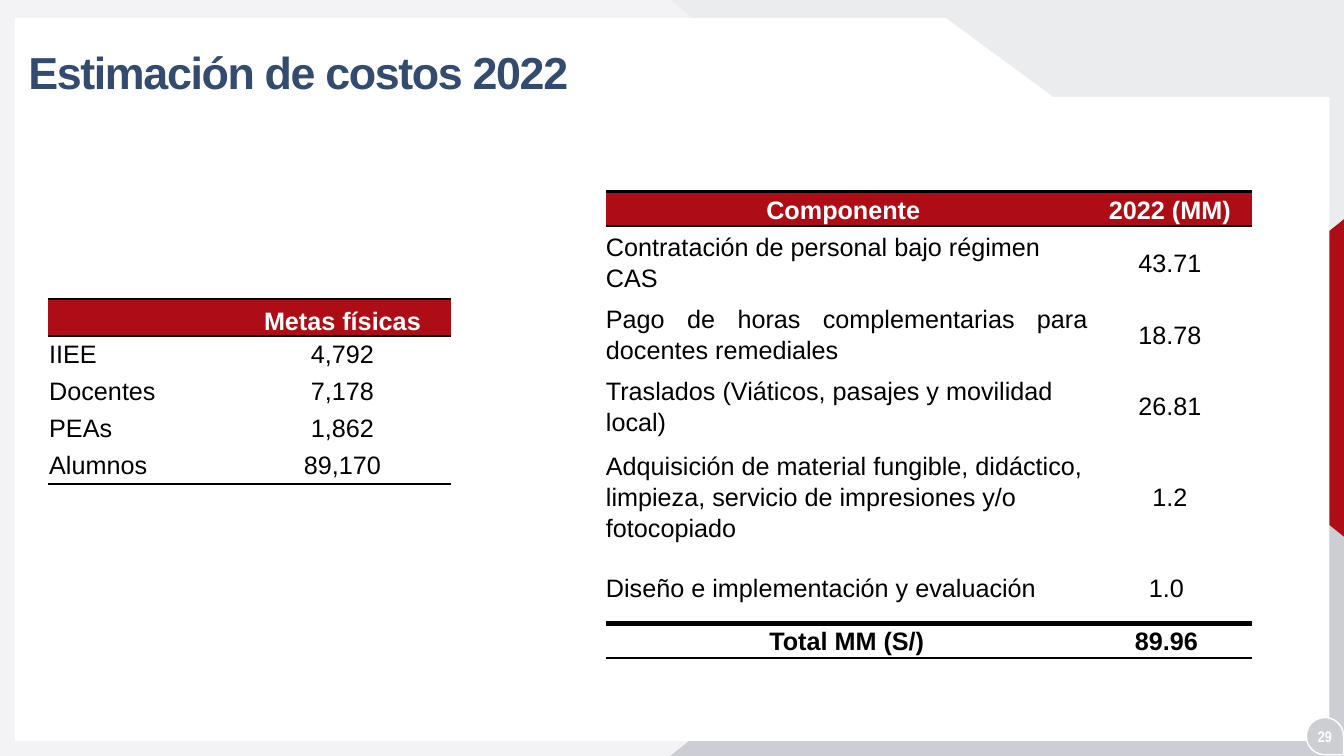
import pptx
import pptx.util
import pptx.dml.color
import pptx.enum.shapes
import pptx.enum.text
import pptx.oxml.ns
from lxml import etree

Cm, Pt = pptx.util.Cm, pptx.util.Pt
ALIGN = pptx.enum.text.PP_ALIGN
MIDDLE = pptx.enum.text.MSO_ANCHOR.MIDDLE
BOTTOM = pptx.enum.text.MSO_ANCHOR.BOTTOM
COLORS = {"page": "F3F3F5", "light": "EBECEE", "grey": "CDCED3", "red": "AF0D15",
          "navy": "324B6E", "white": "FFFFFF", "black": "000000"}
WIDTH, HEIGHT = 33.87, 19.05
NO_STYLE = "{2D5ABB26-0587-4C30-8999-92F81FD0307C}"

GOALS = [("", "Metas físicas"), ("IIEE", "4,792"), ("Docentes", "7,178"),
         ("PEAs", "1,862"), ("Alumnos", "89,170")]
COSTS = [("Componente ", "2022 (MM)"),
         ("Contratación de personal bajo régimen CAS", "43.71"),
         ("Pago de horas complementarias para docentes remediales", "18.78"),
         ("Traslados (Viáticos, pasajes y movilidad local)", "26.81"),
         ("Adquisición de material fungible, didáctico, limpieza, servicio de "
          "impresiones y/o fotocopiado", "1.2"),
         ("Diseño e implementación y evaluación", "1.0 "),
         ("Total MM (S/)", "89.96 ")]


def rgb(name):
    return pptx.dml.color.RGBColor.from_string(COLORS[name])


def write(tf, text, size=18, font="Arial", color="black", bold=False,
          align=ALIGN.LEFT, spacing=None, tracking=None):
    p = tf.paragraphs[0]
    p.alignment = align
    p.line_spacing = spacing
    if not text:
        return
    r = p.add_run()
    r.text = text
    r.font.size, r.font.name, r.font.bold = Pt(size), font, bold
    r.font.color.rgb = rgb(color)
    if tracking:
        r.font._element.set("spc", str(tracking))


def paint(sp, color, line=None):
    sp.shadow.inherit = False
    sp.fill.solid()
    sp.fill.fore_color.rgb = rgb(color)
    if line:
        sp.line.color.rgb = rgb(line)
        sp.line.width = Pt(1)
    else:
        sp.line.fill.background()


def add_polygon(s, points, color):
    points = [(Cm(x), Cm(y)) for x, y in points]
    builder = s.shapes.build_freeform(*points[0])
    builder.add_line_segments(points[1:], close=True)
    paint(builder.convert_to_shape(), color)


def add_backdrop(s, width, height):
    page = s.shapes.add_shape(pptx.enum.shapes.MSO_SHAPE.RECTANGLE, 0, 0, Cm(width), Cm(height))
    paint(page, "page")
    left, drop, middle = width - 16.98, 13.49, height / 2
    add_polygon(s, [(left, 0), (width, 0), (width, drop)], "light")
    add_polygon(s, [(left, height), (width, height), (width, height - drop)], "grey")
    add_polygon(s, [(width - 4.97, middle), (width, middle - 4), (width, middle + 4)], "red")
    right, bottom = width - 0.37, height - 0.38
    add_polygon(s, [(0.38, 0.45), (23.83, 0.45), (26.55, 2.45), (right, 2.45),
                    (right, bottom), (0.38, bottom)], "white")


def add_title(s, x, y, w, h, text):
    title = s.shapes.title
    s.shapes._spTree.append(title._element)  # in front of the backdrop
    title.left, title.top, title.width, title.height = Cm(x), Cm(y), Cm(w), Cm(h)
    tf = title.text_frame
    tf.word_wrap = True
    tf.auto_size = pptx.enum.text.MSO_AUTO_SIZE.NONE
    tf.vertical_anchor = MIDDLE
    write(tf, text, size=32, color="navy", bold=True, spacing=0.9, tracking=-100)


def add_page_number(s, x, y, size, number):
    drop = s.shapes.add_shape(pptx.enum.shapes.MSO_SHAPE.TEAR, Cm(x), Cm(y), Cm(size), Cm(size))
    drop.rotation = 90
    paint(drop, "grey", line="white")
    box = s.shapes.add_textbox(Cm(x - 0.13), Cm(y + 0.24), Cm(size + 0.26), Cm(0.46))
    tf = box.text_frame
    tf.margin_left = tf.margin_right = tf.margin_top = tf.margin_bottom = 0
    tf.vertical_anchor = MIDDLE
    write(tf, number, size=11, font="Arial Narrow", color="white", bold=True, align=ALIGN.CENTER)


def set_borders(cell, top=0, bottom=0):
    """Draw black rules of the given point widths; leave the other sides bare."""
    tc_pr = cell._tc.get_or_add_tcPr()
    qn = pptx.oxml.ns.qn
    for i, (side, width) in enumerate(zip("LRTB", (0, 0, top, bottom))):
        ln = etree.Element(qn("a:ln" + side), w=str(Pt(width)))
        if width:
            fill = etree.SubElement(ln, qn("a:solidFill"))
            etree.SubElement(fill, qn("a:srgbClr"), val=COLORS["black"])
        else:
            etree.SubElement(ln, qn("a:noFill"))
        tc_pr.insert(i, ln)


def add_ruled_table(s, x, y, widths, heights, rows, inset=0, spacing=None,
                    header_anchor=MIDDLE, total=False, justified=()):
    frame = s.shapes.add_table(len(rows), len(widths), Cm(x), Cm(y),
                               Cm(sum(widths)), Cm(sum(heights)))
    table = frame.table
    table._tbl.tblPr.find(pptx.oxml.ns.qn("a:tableStyleId")).text = NO_STYLE
    table.first_row = table.horz_banding = False
    for column, width in zip(table.columns, widths):
        column.width = Cm(width)
    last = len(rows) - 1
    for i, values in enumerate(rows):
        table.rows[i].height = Cm(heights[i])
        header, closing = i == 0, total and i == last
        for j, text in enumerate(values):
            cell = table.cell(i, j)
            cell.margin_left = cell.margin_right = cell.margin_top = Cm(inset)
            cell.margin_bottom = 0
            cell.vertical_anchor = header_anchor if header else MIDDLE
            cell.fill.solid()
            cell.fill.fore_color.rgb = rgb("red" if header else "white")
            set_borders(cell, top=2 if header else 4 if closing else 0,
                        bottom=2 if i in (0, last) else 4 if total and i == last - 1 else 0)
            if header or closing or j:
                align = ALIGN.CENTER
            else:
                align = ALIGN.JUSTIFY if i in justified else ALIGN.LEFT
            write(cell.text_frame, text, color="white" if header else "black",
                  bold=header or closing, align=align, spacing=spacing)


def main():
    prs = pptx.Presentation()
    prs.slide_width, prs.slide_height = Cm(WIDTH), Cm(HEIGHT)
    s = prs.slides.add_slide(prs.slide_layouts[5])
    add_backdrop(s, WIDTH, HEIGHT)
    add_title(s, 0.46, 0.51, 23.57, 2.77, "Estimación de costos 2022")
    add_page_number(s, 32.92, 18.08, 0.94, "29")
    add_ruled_table(s, 1.22, 7.54, [4.67, 5.48], [0.93] * 5, GOALS,
                    inset=0.02, header_anchor=BOTTOM)
    add_ruled_table(s, 15.27, 4.83, [12.14, 4.14], [0.87, 1.81, 1.81, 1.81, 2.77, 1.81, 0.87],
                    COSTS, spacing=1.1, total=True, justified=(2,))
    prs.save("out.pptx")


if __name__ == "__main__":
    main()
